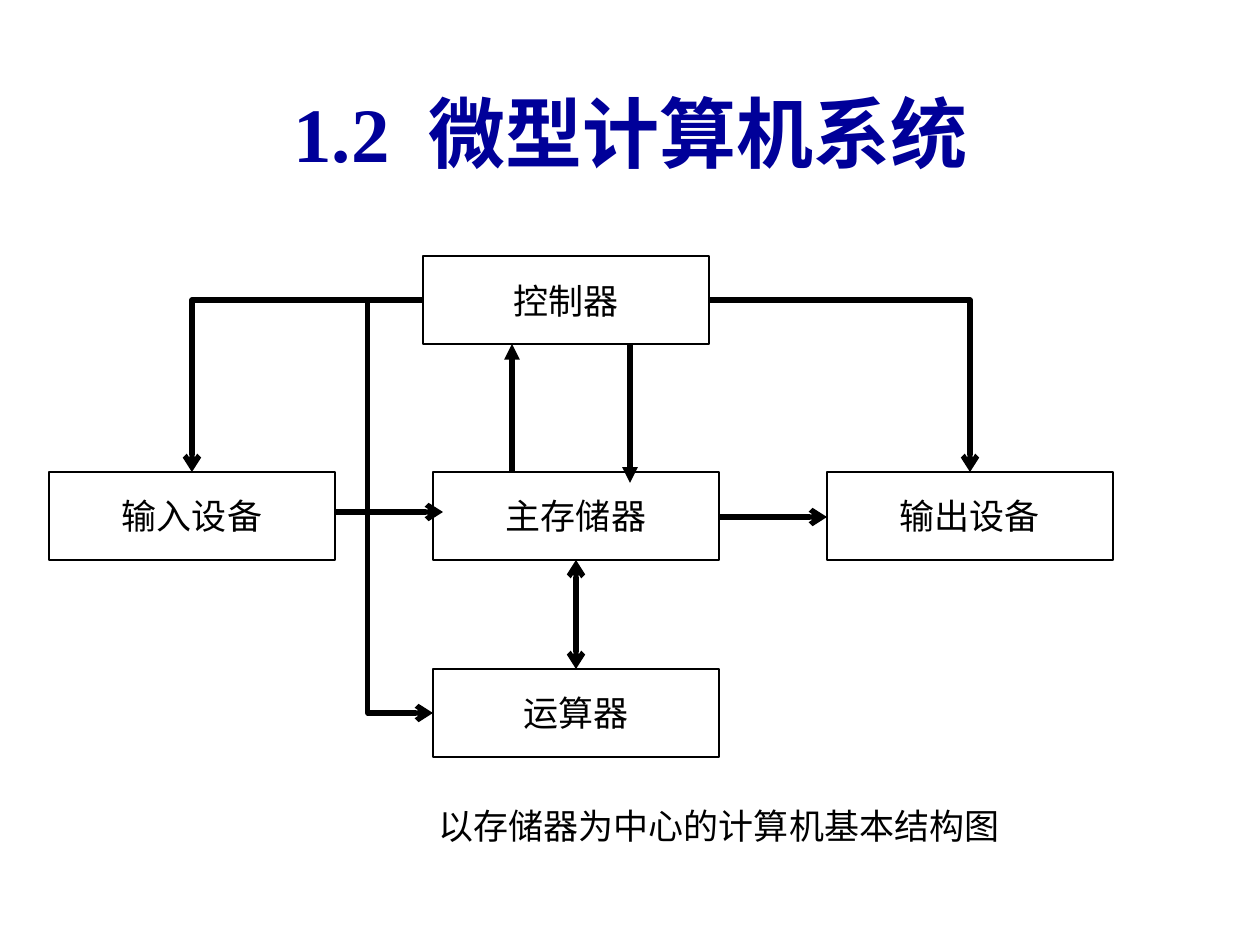
from lxml.etree import SubElement
from pptx import Presentation
from pptx.dml.color import RGBColor
from pptx.enum.shapes import MSO_CONNECTOR, MSO_SHAPE
from pptx.enum.text import MSO_ANCHOR, MSO_AUTO_SIZE, PP_ALIGN
from pptx.oxml.ns import qn
from pptx.util import Pt

EMU_PER_PX = 914400 / 126
BLACK = RGBColor(0x00, 0x00, 0x00)
NAVY = RGBColor(0x00, 0x00, 0x99)
BOX_WIDTH, BOX_HEIGHT = 286, 88


def px(*lengths):
    return [round(length * EMU_PER_PX) for length in lengths]


def write_text(frame, text, size=20, font="Arial", color=BLACK, bold=False,
               space_gap=0):
    """Write one centred paragraph; space_gap widens its space, in points."""
    paragraph = frame.paragraphs[0]
    paragraph.alignment = PP_ALIGN.CENTER
    for part in filter(None, text.partition(" ")):
        run = paragraph.add_run()
        run.text = part
        run.font.size = Pt(size)
        run.font.name = font
        run.font.bold = bold
        run.font.color.rgb = color
        if part == " " and space_gap:
            run.font._element.set("spc", str(space_gap * 100))


class Diagram:
    def __init__(self, slide, box_line=1.13, arrow_line=3):
        self.slide = slide
        self.box_line = Pt(box_line)
        self.arrow_line = Pt(arrow_line)

    def label(self, text, left, top, width, height, wrap=True, **text_format):
        shape = self.slide.shapes.add_textbox(*px(left, top, width, height))
        frame = shape.text_frame
        frame.word_wrap = wrap
        frame.vertical_anchor = MSO_ANCHOR.MIDDLE if wrap else MSO_ANCHOR.TOP
        if not wrap:
            frame.auto_size = MSO_AUTO_SIZE.SHAPE_TO_FIT_TEXT
        write_text(frame, text, **text_format)

    def box(self, text, left, top):
        shape = self.slide.shapes.add_shape(
            MSO_SHAPE.RECTANGLE, *px(left, top, BOX_WIDTH, BOX_HEIGHT))
        shape.shadow.inherit = False
        shape.fill.background()
        shape.line.color.rgb = BLACK
        shape.line.width = self.box_line
        shape.text_frame.word_wrap = True
        shape.text_frame.vertical_anchor = MSO_ANCHOR.MIDDLE
        write_text(shape.text_frame, text)

    def arrow(self, start, end, head=None, tail="arrow",
              kind=MSO_CONNECTOR.STRAIGHT):
        connector = self.slide.shapes.add_connector(kind, *px(*start, *end))
        connector.line.color.rgb = BLACK
        connector.line.width = self.arrow_line
        properties = connector._element.spPr
        line = properties.find(qn("a:ln"))
        for tag, style in (("a:headEnd", head), ("a:tailEnd", tail)):
            if style:
                SubElement(line, qn(tag), type=style)
        SubElement(properties, qn("a:effectLst"))
        return properties.find(qn("a:prstGeom"))

    def corner_arrow(self, start, end):
        """Run sideways from start, then turn once down to end."""
        geometry = self.arrow(start, end, kind=MSO_CONNECTOR.ELBOW)
        geometry.set("prst", "bentConnector2")

    def detour_arrow(self, start, end, via_x):
        """Run sideways to via_x, then down, then sideways to end."""
        geometry = self.arrow(start, end, kind=MSO_CONNECTOR.ELBOW)
        ratio = (via_x - start[0]) / (end[0] - start[0])
        guides = geometry.find(qn("a:avLst"))
        if guides is None:
            guides = SubElement(geometry, qn("a:avLst"))
        SubElement(guides, qn("a:gd"), name="adj1",
                   fmla=f"val {round(ratio * 100000)}")


def main():
    presentation = Presentation()
    presentation.slide_width, presentation.slide_height = px(1260, 945)
    slide = presentation.slides.add_slide(presentation.slide_layouts[6])
    diagram = Diagram(slide)

    diagram.label("1.2 微型计算机系统", 42, 53, 1177, 157, size=44,
                  font="Times New Roman", color=NAVY, bold=True, space_gap=11)

    control_left, control_top = 423, 256
    center_left, middle_top, bottom_top = 433, 472, 669
    input_left, output_left = 49, 827
    for text, left, top in (
        ("控制器", control_left, control_top),
        ("主存储器", center_left, middle_top),
        ("运算器", center_left, bottom_top),
        ("输入设备", input_left, middle_top),
        ("输出设备", output_left, middle_top),
    ):
        diagram.box(text, left, top)

    control_right = control_left + BOX_WIDTH
    control_bottom = control_top + BOX_HEIGHT
    control_middle = control_top + BOX_HEIGHT // 2
    center_x = center_left + BOX_WIDTH // 2
    middle_y = middle_top + BOX_HEIGHT // 2 + 1
    diagram.arrow((512, middle_top), (512, control_bottom), tail="triangle")
    diagram.arrow((630, control_bottom), (630, 483), tail="triangle")
    diagram.arrow((center_x, middle_top + BOX_HEIGHT), (center_x, bottom_top),
                  head="arrow")
    diagram.corner_arrow((control_left, control_middle),
                         (input_left + BOX_WIDTH // 2, middle_top))
    diagram.corner_arrow((control_right, control_middle),
                         (output_left + BOX_WIDTH // 2, middle_top))
    diagram.arrow((center_left + BOX_WIDTH, middle_y), (output_left, middle_y))
    diagram.arrow((input_left + BOX_WIDTH, 512), (443, 512))
    diagram.detour_arrow((control_left, control_middle),
                         (center_left, bottom_top + BOX_HEIGHT // 2), 368)

    diagram.label("以存储器为中心的计算机基本结构图", 426, 798, 586, 55,
                  wrap=False)
    presentation.save("out.pptx")


if __name__ == "__main__":
    main()
